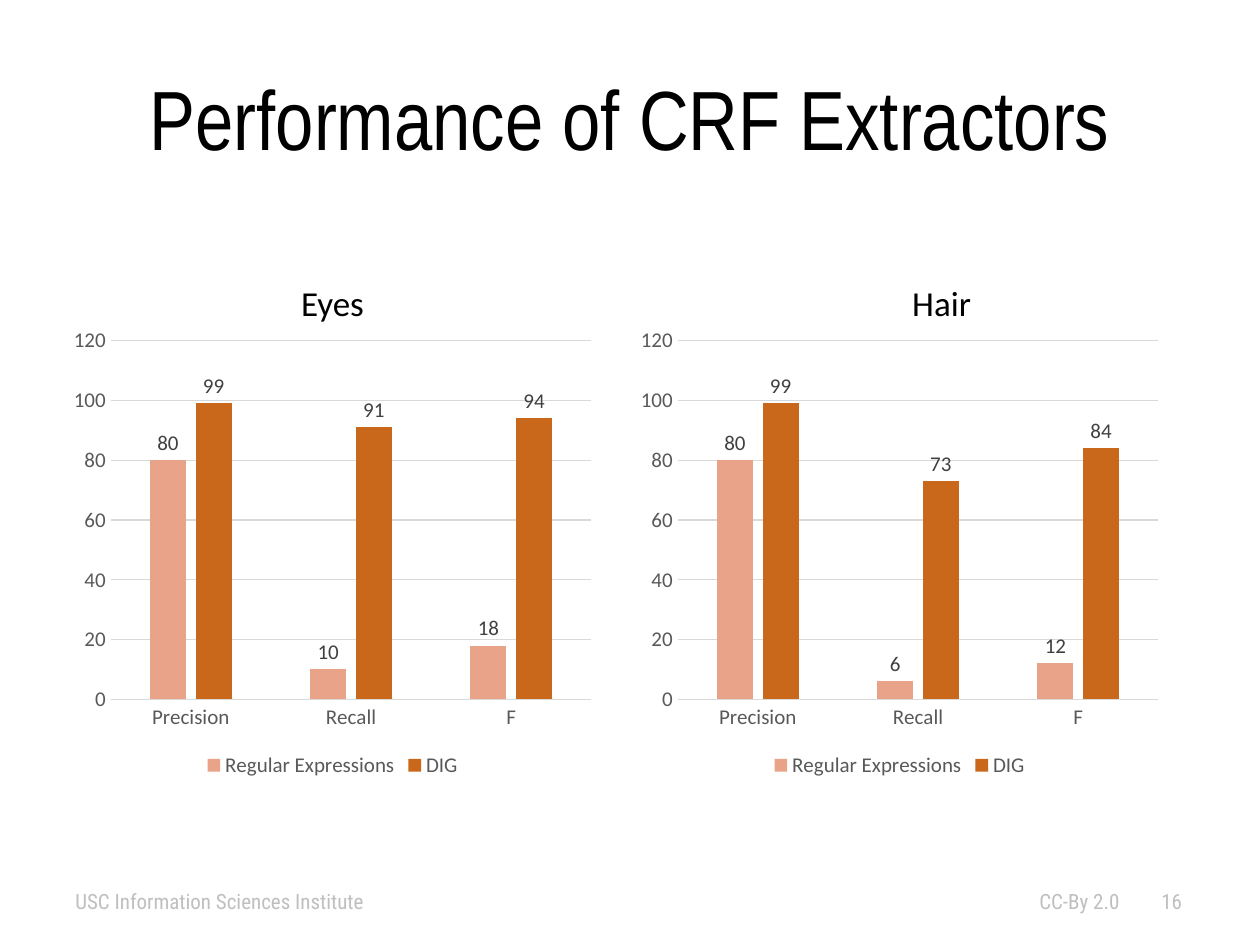
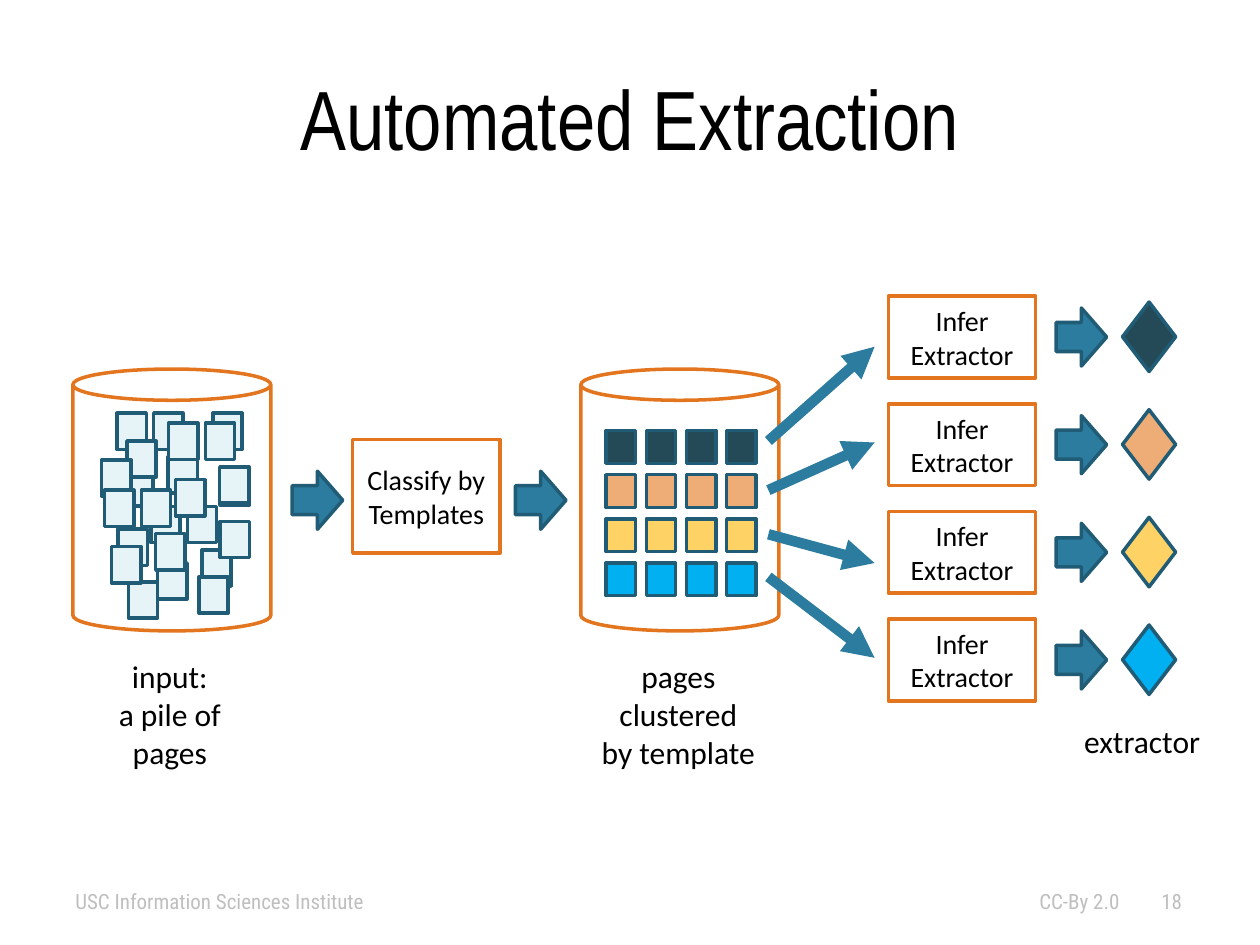
from lxml import etree
from pptx import Presentation
from pptx.chart.data import CategoryChartData
from pptx.dml.color import RGBColor
from pptx.enum.chart import XL_CHART_TYPE, XL_LABEL_POSITION, XL_LEGEND_POSITION, XL_TICK_MARK
from pptx.enum.shapes import MSO_CONNECTOR, MSO_SHAPE
from pptx.enum.text import MSO_ANCHOR, PP_ALIGN
from pptx.oxml.ns import qn
from pptx.util import Cm, Pt

LEFT, CENTER = PP_ALIGN.LEFT, PP_ALIGN.CENTER
TOP, MIDDLE = MSO_ANCHOR.TOP, MSO_ANCHOR.MIDDLE
CAN, PAGE, BOX = MSO_SHAPE.CAN, MSO_SHAPE.PLAQUE, MSO_SHAPE.RECTANGLE
ARROW, DIAMOND = MSO_SHAPE.RIGHT_ARROW, MSO_SHAPE.DIAMOND
NO_TICK = XL_TICK_MARK.NONE

TITLE_FONT, BODY_FONT, FOOTER_FONT = "Arial Narrow", "Calibri", "Roboto Condensed"
BLACK, WHITE, FOOTER_GRAY = "000000", "FFFFFF", "BFBFBF"
AXIS_GRAY, LABEL_GRAY, GRID_GRAY = "595959", "404040", "D9D9D9"
ORANGE, TEAL, DARK_TEAL, PAGE_BLUE = "E2751D", "2C7C9F", "215C76", "E6F4F8"
CLUSTER_COLORS = ["244A58", "EEAC77", "FFD266", "00B0F0"]

CATEGORIES = ["Precision", "Recall", "F"]
SERIES_COLORS = {"Regular Expressions": "E9A388", "DIG": "C9681A"}

# Pile of pages, in cm from the corner of its cylinder
PAGE_SIZE = (0.59, 0.73)
QUAD = [(0, 0), (0.74, 0), (0.14, 1.14), (1.03, 0.88)]
BACK_QUADS = [(0.89, 0.89), (1.57, 2.77)]
FRONT_QUADS = [(1.93, 1.09), (0.64, 2.44)]
LOOSE_PAGES = [(2.97, 3.07), (0.91, 3.23), (2.54, 4.19), (1.12, 4.29),
               (2.82, 0.89), (1.09, 1.45), (2.97, 2.01), (0.58, 1.83)]


def color(hex_string):
    return RGBColor.from_string(hex_string)


def set_font(font, size, hex_string, name=BODY_FONT):
    font.size = Pt(size)
    font.name = name
    font.color.rgb = color(hex_string)


def set_line(line, hex_string, width):
    line.color.rgb = color(hex_string)
    line.width = Pt(width)


def write(shape, text, size, hex_string=BLACK, name=BODY_FONT,
          align=CENTER, anchor=TOP, wrap=True):
    frame = shape.text_frame
    frame.text = text
    frame.word_wrap = wrap
    frame.vertical_anchor = anchor
    for paragraph in frame.paragraphs:
        paragraph.alignment = align
        for run in paragraph.runs:
            set_font(run.font, size, hex_string, name)


def add_text(slide, left, top, width, height, text, size, **style):
    shape = slide.shapes.add_textbox(Cm(left), Cm(top), Cm(width), Cm(height))
    write(shape, text, size, **style)
    return shape


def add_figure(shapes, kind, left, top, width, height, fill, line, adjustment=None):
    shape = shapes.add_shape(kind, Cm(left), Cm(top), Cm(width), Cm(height))
    shape.shadow.inherit = False
    shape.fill.solid()
    shape.fill.fore_color.rgb = color(fill)
    set_line(shape.line, line, 2)
    if adjustment is not None:
        shape.adjustments[0] = adjustment
    return shape


def add_step(shapes, left, top, height, text):
    box = add_figure(shapes, BOX, left, top, 2.97, height, WHITE, ORANGE)
    write(box, text, 16, anchor=MIDDLE)
    box.text_frame.margin_left = box.text_frame.margin_right = Cm(0.1)


def add_block_arrow(shapes, left, top):
    add_figure(shapes, ARROW, left, top, 1.02, 1.17, TEAL, DARK_TEAL)


def add_cylinder(shapes, left, top):
    add_figure(shapes, CAN, left, top, 3.99, 5.28, WHITE, ORANGE, 0.158)


# Title and footer shared by all slides
def add_base_slide(presentation, title, number):
    slide = presentation.slides.add_slide(presentation.slide_layouts[6])
    add_text(slide, 1.27, 0.76, 22.86, 3.18, title, 48, name=TITLE_FONT, anchor=MIDDLE)
    footer = dict(hex_string=FOOTER_GRAY, name=FOOTER_FONT, align=LEFT, anchor=MIDDLE)
    add_text(slide, 1.27, 17.65, 8.05, 1.02, "USC Information Sciences Institute", 12, **footer)
    license_box = add_text(slide, 13.08, 17.65, 11.05, 1.02,
                           f"\tCC-By 2.0\t{number}", 12, **footer)
    properties = license_box.text_frame.paragraphs[0]._p.get_or_add_pPr()
    tabs = etree.SubElement(properties, qn("a:tabLst"))
    for position in (9.24, 10.5):
        etree.SubElement(tabs, qn("a:tab"), pos=str(Cm(position)), algn="r")
    return slide


# Column chart with a heading above it
def add_performance_chart(slide, left, top, heading, heading_offset, values):
    data = CategoryChartData()
    data.categories = CATEGORIES
    for name, numbers in zip(SERIES_COLORS, values):
        data.add_series(name, numbers)
    chart = slide.shapes.add_chart(XL_CHART_TYPE.COLUMN_CLUSTERED, Cm(left), Cm(top),
                                   Cm(10.87), Cm(9.35), data).chart
    set_font(chart.font, 10, BLACK)
    chart.has_title = False
    chart.has_legend = True
    chart.legend.position = XL_LEGEND_POSITION.BOTTOM
    chart.legend.include_in_layout = False
    set_font(chart.legend.font, 12, AXIS_GRAY)

    for axis in (chart.category_axis, chart.value_axis):
        axis.major_tick_mark = axis.minor_tick_mark = NO_TICK
        set_font(axis.tick_labels.font, 12, AXIS_GRAY)
    set_line(chart.category_axis.format.line, GRID_GRAY, 0.75)
    value_axis = chart.value_axis
    value_axis.minimum_scale, value_axis.maximum_scale = 0, 120
    value_axis.major_unit = 20
    value_axis.format.line.fill.background()
    set_line(value_axis.major_gridlines.format.line, GRID_GRAY, 0.75)

    plot = chart.plots[0]
    plot.gap_width, plot.overlap = 219, -27
    plot.vary_by_categories = False
    for series, fill in zip(plot.series, SERIES_COLORS.values()):
        series.format.fill.solid()
        series.format.fill.fore_color.rgb = color(fill)
        labels = series.data_labels
        labels.show_value = True
        labels.position = XL_LABEL_POSITION.OUTSIDE_END
        set_font(labels.font, 12, LABEL_GRAY)

    add_text(slide, left + heading_offset, top - 0.87, 1.78, 1.12, heading, 20,
             align=LEFT, wrap=False)


# Cylinder filled with unsorted pages
def add_page_pile(slide, left, top):
    add_cylinder(slide.shapes, left, top)
    back, front = [[(x + dx, y + dy) for x, y in quads for dx, dy in QUAD]
                   for quads in (BACK_QUADS, FRONT_QUADS)]
    for x, y in back + LOOSE_PAGES + front:
        add_figure(slide.shapes, PAGE, left + x, top + y, *PAGE_SIZE, PAGE_BLUE, DARK_TEAL, 0)
    add_text(slide, left + 0.05, top + 5.69, 3.81, 1.8, "input:\na pile of pages", 18)


# Cylinder with one row of pages for each template
def add_clustered_pages(slide, left, top):
    add_cylinder(slide.shapes, left, top)
    for row, fill in enumerate(CLUSTER_COLORS):
        for column in range(4):
            add_figure(slide.shapes, PAGE, left + 0.51 + 0.81 * column,
                       top + 1.24 + 0.89 * row, 0.59, 0.66, fill, DARK_TEAL, 0)
    add_text(slide, left - 0.13, top + 5.69, 4.19, 1.8, "pages clustered\nby template", 18)


# Inference step, arrow and resulting extractor for each template
def add_extractors(slide, left, top):
    for row, fill in enumerate(CLUSTER_COLORS):
        shapes = slide.shapes.add_group_shape().shapes
        row_top = top + 2.17 * row
        add_figure(shapes, DIAMOND, left + 4.72, row_top + 0.12, 1.07, 1.4, fill, DARK_TEAL)
        add_step(shapes, left, row_top, 1.65, "Infer\nExtractor")
        add_block_arrow(shapes, left + 3.38, row_top + 0.24)
    add_text(slide, left + 3.63, top + 8.46, 2.97, 1.02, "extractor", 18)


# Thick arrows that fan out from the clusters to the inference steps
def add_fan(slide, left, top, width, heights):
    for start, end in heights:
        connector = slide.shapes.add_connector(
            MSO_CONNECTOR.STRAIGHT, Cm(left), Cm(top + start), Cm(left + width), Cm(top + end))
        set_line(connector.line, TEAL, 6)
        properties = connector._element.spPr
        etree.SubElement(properties.find(qn("a:ln")), qn("a:tailEnd"), type="triangle")
        etree.SubElement(properties, qn("a:effectLst"))


def add_performance_slide(presentation):
    slide = add_base_slide(presentation, "Performance of CRF Extractors", 16)
    add_performance_chart(slide, 1.27, 6.43, "Eyes", 4.55, [(80, 10, 18), (99, 91, 94)])
    add_performance_chart(slide, 12.7, 6.43, "Hair", 5.44, [(80, 6, 12), (99, 73, 84)])


def add_extraction_slide(presentation):
    slide = add_base_slide(presentation, "Automated Extraction", 18)
    add_page_pile(slide, 1.47, 7.44)
    add_step(slide.shapes, 7.11, 8.86, 2.29, "Classify by\nTemplates")
    for left in (5.89, 10.39):
        add_block_arrow(slide.shapes, left, 9.5)
    add_clustered_pages(slide, 11.71, 7.44)
    add_extractors(slide, 17.91, 5.97)
    add_fan(slide, 15.49, 6.99, 2.14,
            [(1.9, 0), (2.89, 1.93), (3.78, 4.36), (4.64, 6.27)])


def main():
    presentation = Presentation()
    presentation.slide_width, presentation.slide_height = Cm(25.4), Cm(19.05)
    add_performance_slide(presentation)
    add_extraction_slide(presentation)
    presentation.save("out.pptx")


if __name__ == "__main__":
    main()
